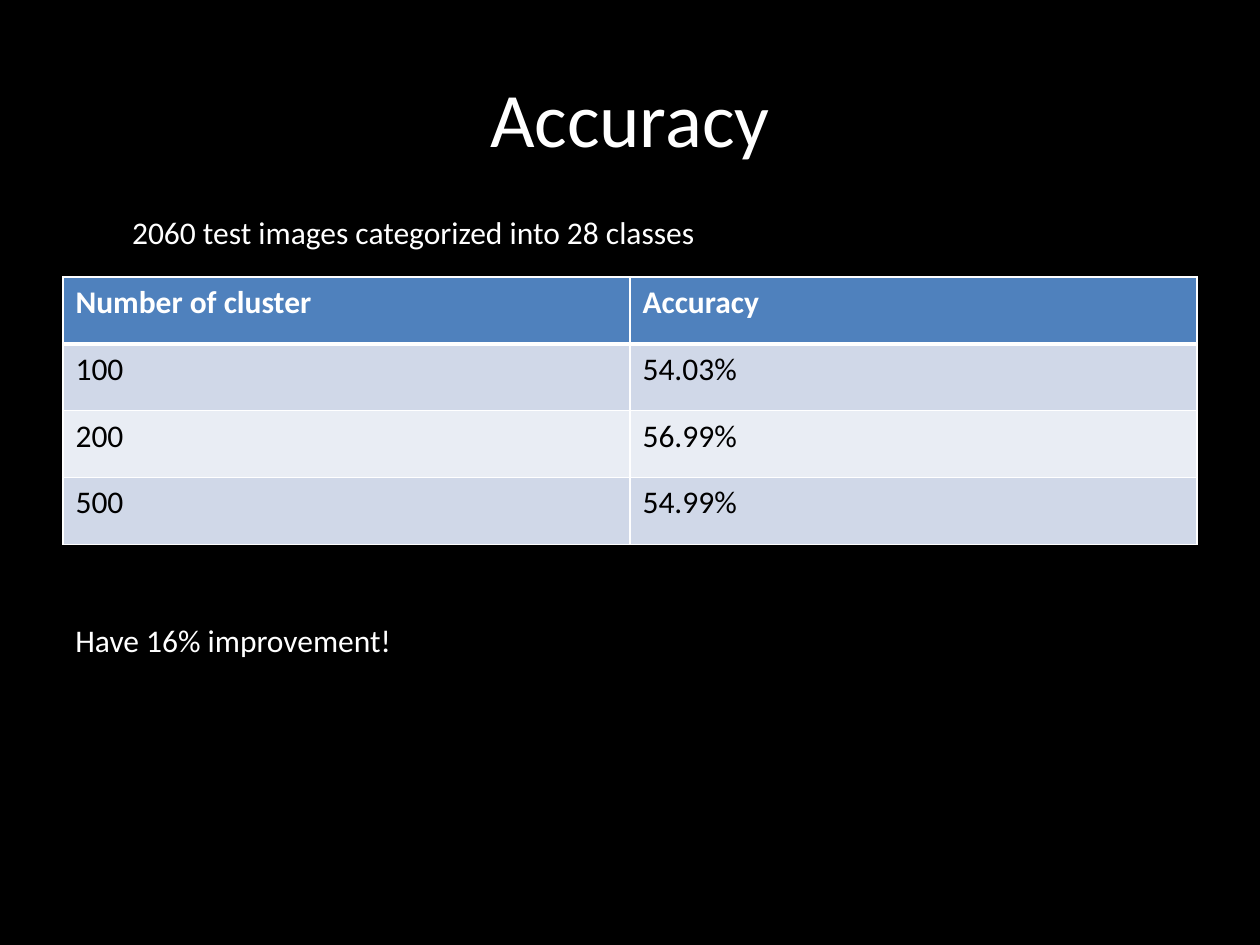
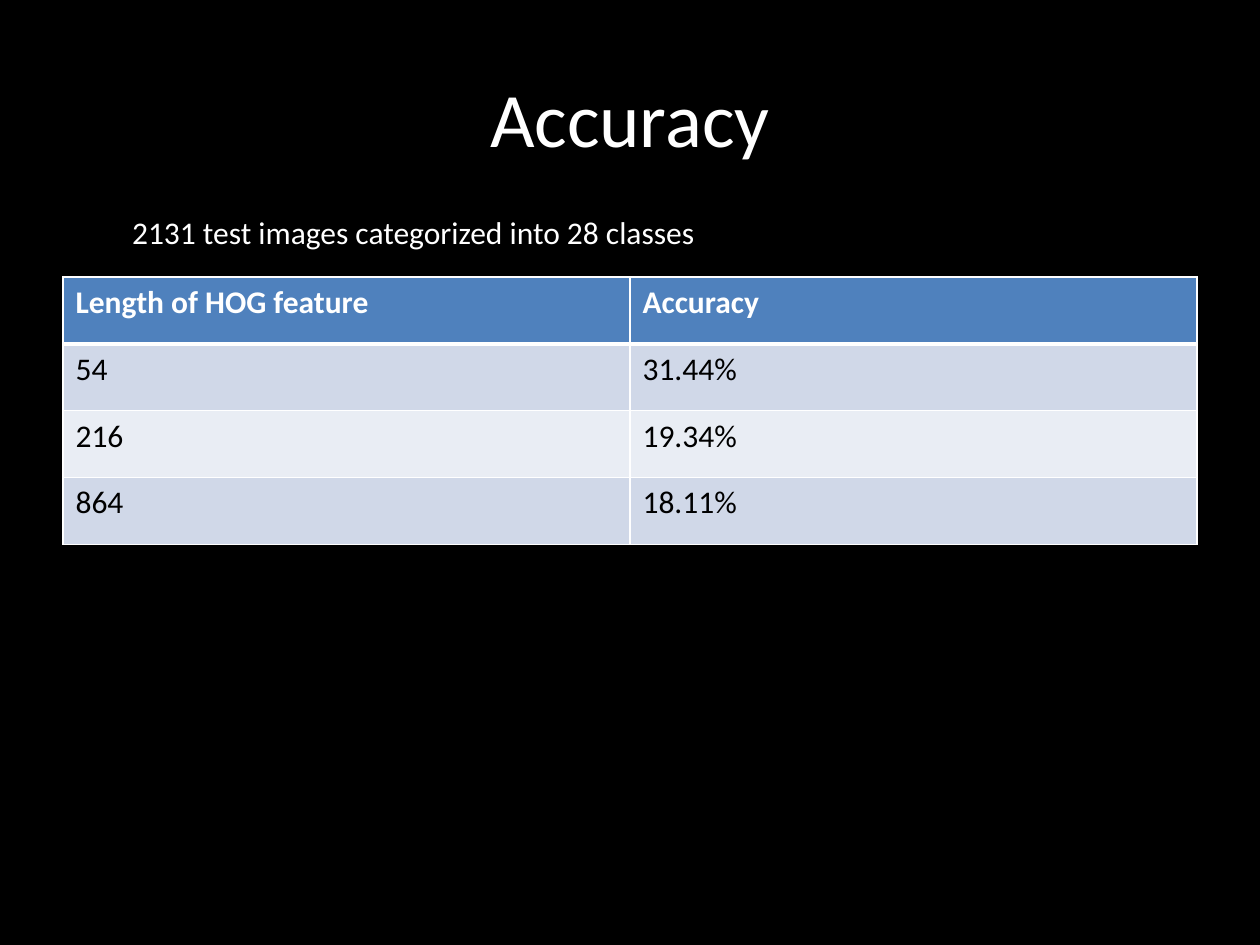
import dataclasses
import typing

import lxml.etree
import pptx
import pptx.dml.color
import pptx.enum.text
import pptx.oxml.ns
import pptx.util


@dataclasses.dataclass(frozen=True)
class Theme:
    font: str = "Calibri"
    back: str = "000000"
    light: str = "FFFFFF"
    dark: str = "000000"
    head: str = "4F81BD"
    bands: tuple[str, str] = ("D0D8E8", "E9EDF4")
    title: int = 44
    body: int = 18
    thin: int = 1
    thick: int = 3


class Box(typing.NamedTuple):
    """Left, top, width and height in inches."""
    left: float
    top: float
    width: float
    height: float

    def emu(self) -> list[int]:
        return [pptx.util.Inches(size) for size in self]


@dataclasses.dataclass(frozen=True)
class Result:
    intro: str
    rows: list[tuple[str, str]]
    note: str = ""


THEME = Theme()
WIDE, HIGH = 10, 7.5
EDGE = WIDE / 20
SPAN = WIDE - 2 * EDGE
ROW = 0.53

TITLE = Box(EDGE, HIGH / 25, SPAN, HIGH / 6)
INTRO = Box(0.95, 1.64, 7.41, 0.4)
GRID = Box(EDGE, 2.2, SPAN, 4 * ROW)
NOTE = Box(EDGE, 4.88, 8.76, 0.4)

RESULTS = [
    Result(
        "2060 test images categorized into 28 classes",
        [("Number of cluster", "Accuracy"), ("100", "54.03%"),
         ("200", "56.99%"), ("500", "54.99%")],
        "Have 16% improvement!",
    ),
    Result(
        "2131 test images categorized into 28 classes",
        [("Length of HOG feature", "Accuracy"), ("54", "31.44%"),
         ("216", "19.34%"), ("864", "18.11%")],
    ),
]


def color(code: str) -> pptx.dml.color.RGBColor:
    return pptx.dml.color.RGBColor.from_string(code)


def write(frame, text: str, *, size: int = THEME.body, ink: str = THEME.light,
          bold: bool = False, align=pptx.enum.text.PP_ALIGN.LEFT) -> None:
    para = frame.paragraphs[0]
    para.alignment = align
    run = para.add_run()
    run.text = text
    run.font.name = THEME.font
    run.font.size = pptx.util.Pt(size)
    run.font.bold = bold
    run.font.color.rgb = color(ink)


def label(slide, box: Box, text: str) -> None:
    frame = slide.shapes.add_textbox(*box.emu()).text_frame
    frame.word_wrap = True
    frame.auto_size = pptx.enum.text.MSO_AUTO_SIZE.SHAPE_TO_FIT_TEXT
    write(frame, text)


def border(cell, top: int, base: int) -> None:
    """Rule all four sides; top and base are widths in points."""
    name = pptx.oxml.ns.qn
    props = cell._tc.get_or_add_tcPr()
    sides = {"L": THEME.thin, "R": THEME.thin, "T": top, "B": base}
    for side, width in sides.items():
        line = lxml.etree.SubElement(props, name(f"a:ln{side}"),
                                     w=str(pptx.util.Pt(width)))
        fill = lxml.etree.SubElement(line, name("a:solidFill"))
        lxml.etree.SubElement(fill, name("a:srgbClr"), val=THEME.light)


def grid(slide, box: Box, rows: list[tuple[str, str]]) -> None:
    table = slide.shapes.add_table(len(rows), len(rows[0]), *box.emu()).table
    for r, row in enumerate(rows):
        head = r == 0
        table.rows[r].height = pptx.util.Inches(ROW)
        for c, text in enumerate(row):
            cell = table.cell(r, c)
            border(cell, THEME.thick if r == 1 else THEME.thin,
                   THEME.thick if head else THEME.thin)
            cell.fill.solid()
            cell.fill.fore_color.rgb = color(
                THEME.head if head else THEME.bands[(r - 1) % 2])
            write(cell.text_frame, text, bold=head,
                  ink=THEME.light if head else THEME.dark)


def heading(slide, text: str) -> None:
    title = slide.shapes.title
    title.left, title.top, title.width, title.height = TITLE.emu()
    title.text_frame.vertical_anchor = pptx.enum.text.MSO_ANCHOR.MIDDLE
    write(title.text_frame, text, size=THEME.title,
          align=pptx.enum.text.PP_ALIGN.CENTER)


def build(deck, result: Result) -> None:
    slide = deck.slides.add_slide(deck.slide_layouts.get_by_name("Title Only"))
    heading(slide, "Accuracy")
    grid(slide, GRID, result.rows)
    label(slide, INTRO, result.intro)
    if result.note:
        label(slide, NOTE, result.note)


def main() -> None:
    deck = pptx.Presentation()
    deck.slide_width = pptx.util.Inches(WIDE)
    deck.slide_height = pptx.util.Inches(HIGH)
    back = deck.slide_master.background.fill
    back.solid()
    back.fore_color.rgb = color(THEME.back)
    for result in RESULTS:
        build(deck, result)
    deck.save("out.pptx")


if __name__ == "__main__":
    main()
